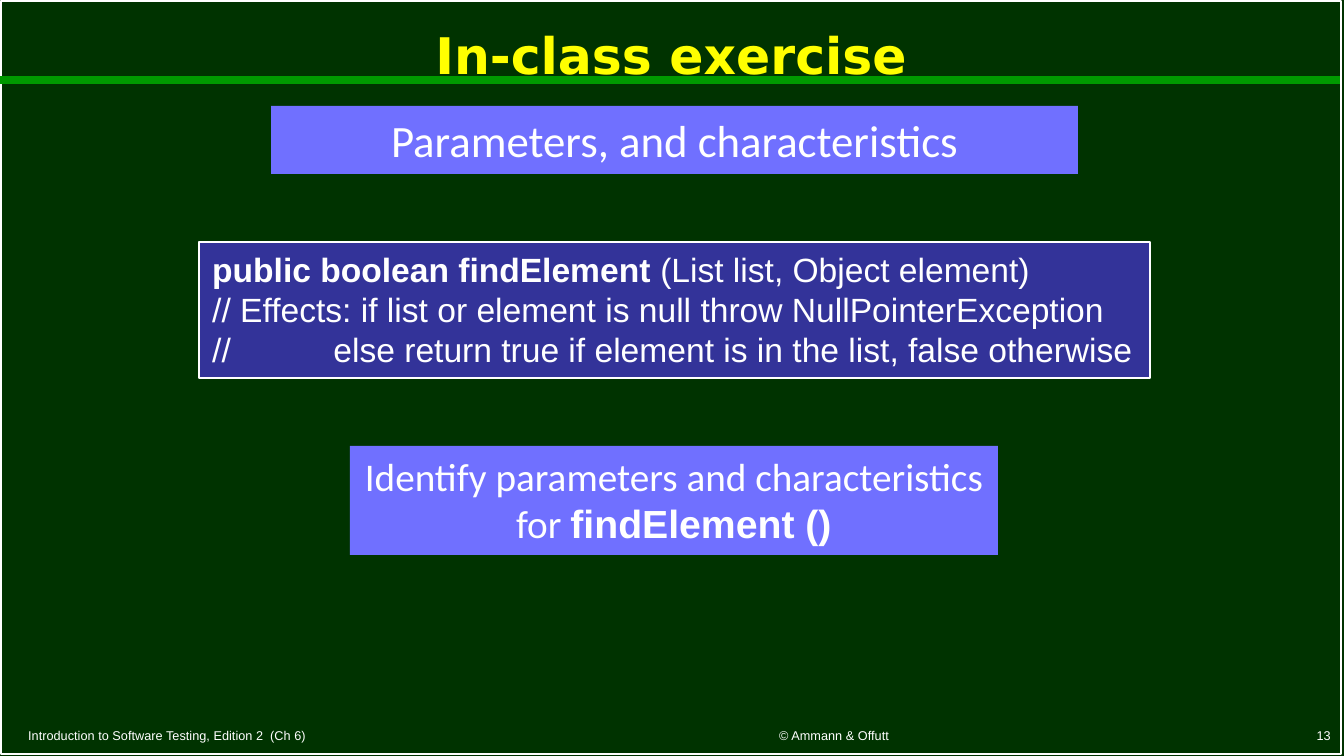
from lxml import etree
from pptx import Presentation
from pptx.dml.color import RGBColor
from pptx.enum.shapes import MSO_CONNECTOR, MSO_SHAPE
from pptx.enum.text import MSO_ANCHOR, PP_ALIGN
from pptx.oxml.ns import qn
from pptx.util import Emu, Pt

RECTANGLE, STRAIGHT = MSO_SHAPE.RECTANGLE, MSO_CONNECTOR.STRAIGHT
LEFT, CENTER, RIGHT = PP_ALIGN.LEFT, PP_ALIGN.CENTER, PP_ALIGN.RIGHT
TOP, MIDDLE, BOTTOM = MSO_ANCHOR.TOP, MSO_ANCHOR.MIDDLE, MSO_ANCHOR.BOTTOM

THEME = {
    "background": RGBColor.from_string("003300"),
    "rule": RGBColor.from_string("009900"),
    "title": RGBColor.from_string("FFFF00"),
    "text": RGBColor.from_string("FFFFFF"),
    "banner": RGBColor.from_string("7070FF"),
    "code": RGBColor.from_string("333399"),
    "title_size": Pt(27),
    "topic_size": Pt(24),
    "task_size": Pt(21),
    "code_size": Pt(18),
    "footer_size": Pt(6.8),
    "title_font": "DejaVu Sans",
    "banner_font": "Calibri",
    "code_font": "Arial",
}
PX = 914400 / 134.4

prs = Presentation()
prs.slide_width, prs.slide_height = Emu(round(1344 * PX)), Emu(round(756 * PX))
slide = prs.slides.add_slide(prs.slide_layouts[6])
slide.background.fill.solid()
slide.background.fill.fore_color.rgb = THEME["background"]


def add_panel(box, fill=None, border=None):
    panel = slide.shapes.add_shape(RECTANGLE, *[Emu(round(n * PX)) for n in box])
    panel.shadow.inherit = False
    if fill:
        panel.fill.solid()
        panel.fill.fore_color.rgb = THEME[fill]
    else:
        panel.fill.background()
    if border:
        panel.line.color.rgb = THEME["text"]
        panel.line.width = border
    else:
        panel.line.fill.background()
    return panel


def write(holder, lines, size, font, align=CENTER, anchor=TOP, color="text"):
    frame = holder.text_frame
    frame.word_wrap = True
    frame.vertical_anchor = anchor
    for index, pieces in enumerate(lines):
        line = frame.paragraphs[0] if index == 0 else frame.add_paragraph()
        line.alignment = align
        line.font.size = THEME[size]
        line.font.name = THEME[font]
        line.font.color.rgb = THEME[color]
        for words, bold in pieces:
            run = line.add_run()
            run.text = words
            if bold:
                run.font.bold = True
                if font == "banner_font":
                    run.font.name = THEME["code_font"]


add_panel((1, 1, 1340, 753), border=Pt(1))

rule = slide.shapes.add_connector(STRAIGHT, 0, round(80 * PX), round(1340 * PX), round(80 * PX))
rule.line.color.rgb = THEME["rule"]
rule.line.width = Pt(4.5)
etree.SubElement(rule._element.spPr, qn("a:effectLst"))

title = slide.shapes.add_textbox(*[Emu(round(n * PX)) for n in (1, 11, 1340, 95)])
write(title, [[("In-class exercise", True)]], "title_size", "title_font", anchor=MIDDLE, color="title")
title.text_frame.paragraphs[0].line_spacing = 0.9

footers = [
    ((15, 723, 579, 27), "Introduction to Software Testing, Edition 2  (Ch 6)", LEFT),
    ((621, 723, 426, 27), "© Ammann & Offutt", CENTER),
    ((1064, 722, 280, 28), "13", RIGHT),
]
for box, words, align in footers:
    footer = slide.shapes.add_textbox(*[Emu(round(n * PX)) for n in box])
    write(footer, [[(words, False)]], "footer_size", "code_font", align, BOTTOM)

task = add_panel((350, 446, 648, 109), "banner")
write(task, [[("Identify parameters and characteristics for ", False), ("findElement ()", True)]],
      "task_size", "banner_font")

topic = add_panel((271, 106, 807, 68), "banner")
write(topic, [[("Parameters, and characteristics", False)]], "topic_size", "banner_font")

signature = add_panel((199, 242, 951, 136), "code", Pt(0.75))
write(signature, [
    [("public boolean findElement ", True), ("(List list, Object element)", False)],
    [("// Effects: if list or element is null throw NullPointerException", False)],
    [("//           else return true if element is in the list, false otherwise", False)],
], "code_size", "code_font", LEFT)

prs.save("out.pptx")
